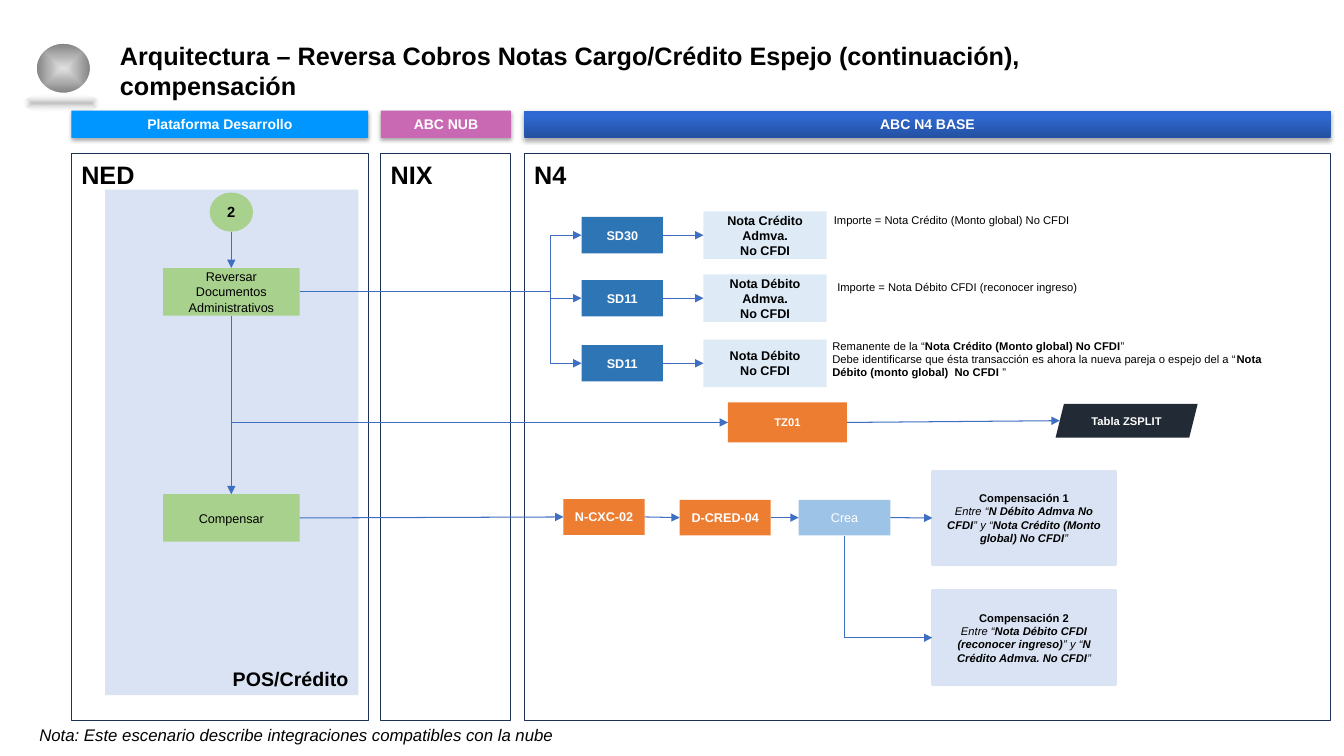
from lxml import etree
from pptx import Presentation
from pptx.dml.color import RGBColor
from pptx.enum.shapes import MSO_CONNECTOR, MSO_SHAPE
from pptx.enum.text import MSO_ANCHOR, MSO_AUTO_SIZE, PP_ALIGN
from pptx.oxml.ns import nsdecls, qn
from pptx.oxml import parse_xml
from pptx.util import Pt

RECT, OVAL, SLANTED = MSO_SHAPE.RECTANGLE, MSO_SHAPE.OVAL, MSO_SHAPE.PARALLELOGRAM
STRAIGHT, ELBOW = MSO_CONNECTOR.STRAIGHT, MSO_CONNECTOR.ELBOW
LEFT, CENTER, RIGHT = PP_ALIGN.LEFT, PP_ALIGN.CENTER, PP_ALIGN.RIGHT
TOP, MIDDLE, BOTTOM = MSO_ANCHOR.TOP, MSO_ANCHOR.MIDDLE, MSO_ANCHOR.BOTTOM

COLORS = {
    "black": "000000", "white": "FFFFFF", "navy": "1E3256", "wire": "3F6FC3",
    "sky": "0096FF", "pink": "CA69B3", "pale": "DAE3F3", "ice": "DEEBF7",
    "green": "A9D18E", "blue": "2E75B6", "light": "9DC3E6", "orange": "ED7D31",
    "dark": "222A35", "deep": "2451A1", "royal": "2F69D1", "bright": "2C69D5",
    "silver": "E0E0E0", "gray": "808080",
}

TITLE = "Arquitectura – Reversa Cobros Notas Cargo/Crédito Espejo (continuación), compensación"
FOOTNOTE = "Nota: Este escenario describe integraciones compatibles con la nube"

PANELS = [
    ("Plataforma Desarrollo", "NED", 51, 212, "sky"),
    ("ABC NUB", "NIX", 272, 93, "pink"),
    ("ABC N4 BASE", "N4", 374.5, 576, None),
]

BOXES = {
    "start": (OVAL, 149.75, 137.5, 31, 28, "green", "black", 10.5, [[("2", "b")]]),
    "reverse": (RECT, 116.5, 191.5, 97.5, 34, "green", "black", 9,
                [[("Reversar Documentos Administrativos", "")]]),
    "clear": (RECT, 116.5, 353, 97.5, 34, "green", "black", 9, [[("Compensar", "")]]),
    "TZ01": (RECT, 520, 287.5, 85, 28.5, "orange", "white", 8, [[("TZ01", "b")]]),
    "split": (SLANTED, 754, 288.5, 101.5, 24, "dark", "white", 8, [[("Tabla ZSPLIT", "b")]]),
    "CXC": (RECT, 402.5, 356.5, 58, 25.5, "orange", "white", 9, [[("N-CXC-02", "b")]]),
    "CRED": (RECT, 485.5, 357, 65, 25.5, "orange", "white", 9, [[("D-CRED-04", "b")]]),
    "create": (RECT, 570.5, 357, 65.5, 25.5, "light", "white", 9, [[("Crea", "")]]),
    "comp1": (RECT, 666, 336.5, 131, 67, "pale", "black", 8, [
        [("Compensación 1", "b")],
        [("Entre “", "i"), ("N Débito Admva No CFDI", "bi"), ("” y “", "i"),
         ("Nota Crédito (Monto global) No CFDI", "bi"), ("”", "i")]]),
    "comp2": (RECT, 666, 422, 131, 67, "pale", "black", 8, [
        [("Compensación 2", "b")],
        [("Entre “", "i"), ("Nota Débito CFDI", "bi")],
        [("(reconocer ingreso)", "bi"), ("” y “", "i"),
         ("N Crédito Admva. No CFDI", "bi"), ("”", "i")]]),
}

DOCUMENTS = [
    (168, "SD30", "Nota Crédito Admva."),
    (213, "SD11", "Nota Débito Admva."),
    (259.5, "SD11", "Nota Débito"),
]

REMARKS = [
    (588.5, 149, 196, 17, [[("Importe = Nota Crédito (Monto global) No CFDI", "")]]),
    (591, 196.5, 191, 17, [[("Importe = Nota Débito CFDI (reconocer ingreso)", "")]]),
    (587.5, 238.5, 338, 36, [
        [("Remanente de la “", ""), ("Nota Crédito (Monto global) No CFDI", "b"), ("”", "")],
        [("Debe identificarse que ésta transacción es ahora la nueva pareja o espejo del a “", ""),
         ("Nota Débito (monto global)  No CFDI ", "b"), ("”", "")]]),
]

LINKS = [
    ("start", "reverse", "down"), ("reverse", "clear", "down"),
    ("reverse", "TZ01", "down-right"), ("TZ01", "split", "right"),
    ("clear", "CXC", "right"), ("CXC", "CRED", "right"), ("CRED", "create", "right"),
    ("create", "comp1", "right"), ("create", "comp2", "down-right"),
]
for row, (mid, code, note) in enumerate(DOCUMENTS):
    BOXES[f"code{row}"] = (RECT, 415.5, mid - 13, 58, 26, "blue", "white", 9, [[(code, "b")]])
    BOXES[f"note{row}"] = (RECT, 502.5, mid - 17, 88, 34, "ice", "black", 9,
                           [[(note, "b")], [("No CFDI", "b")]])
    LINKS += [("reverse", f"code{row}", "branch"), (f"code{row}", f"note{row}", "right")]


def rgb(name):
    return RGBColor.from_string(COLORS[name])


def write(sp, paragraphs, size, color="black", align=LEFT, anchor=TOP):
    tf = sp.text_frame
    tf.word_wrap = True
    tf.auto_size = MSO_AUTO_SIZE.NONE
    tf.vertical_anchor = anchor
    tf.margin_left = tf.margin_right = Pt(7.2)
    tf.margin_top = tf.margin_bottom = Pt(3.6)
    for i, runs in enumerate(paragraphs):
        p = tf.add_paragraph() if i else tf.paragraphs[0]
        p.alignment = align
        for text, style in runs:
            r = p.add_run()
            r.text = text
            r.font.name, r.font.size = "Arial", Pt(size)
            r.font.bold, r.font.italic = "b" in style, "i" in style
            r.font.color.rgb = rgb(color)


def add_box(kind, x, y, w, h, fill=None, line=None, width=0.75):
    sp = s.shapes.add_shape(kind, Pt(x), Pt(y), Pt(w), Pt(h))
    sp.shadow.inherit = False
    if fill:
        sp.fill.solid()
        sp.fill.fore_color.rgb = rgb(fill)
    else:
        sp.fill.background()
    if line:
        sp.line.color.rgb = rgb(line)
        sp.line.width = Pt(width)
    else:
        sp.line.fill.background()
    return sp


def add_gradient(sp, stops, direction):
    gs = "".join(
        f'<a:gs pos="{pos * 1000}"><a:srgbClr val="{COLORS[color]}">'
        f'<a:alpha val="{alpha * 1000}"/></a:srgbClr></a:gs>' for pos, color, alpha in stops)
    spPr = sp.element.spPr
    spPr.replace(spPr.find(qn("a:noFill")), parse_xml(
        f'<a:gradFill {nsdecls("a")} rotWithShape="1"><a:gsLst>{gs}</a:gsLst>{direction}</a:gradFill>'))


def add_shadow(sp):
    sp.element.spPr.find(qn("a:effectLst")).append(parse_xml(
        f'<a:outerShdw {nsdecls("a")} blurRad="{Pt(3.1)}" dist="{Pt(1.8)}" dir="5400000" '
        'rotWithShape="0"><a:srgbClr val="000000"><a:alpha val="35000"/></a:srgbClr></a:outerShdw>'))


def add_link(source, target, route):
    _, x, y, w, h = BOXES[source][:5]
    kind, tx, ty, tw, th = BOXES[target][:5]
    x1, y1 = (x + w / 2, y + h) if route.startswith("down") else (x + w, y + h / 2)
    x2, y2 = (tx + tw / 2, ty) if route == "down" else (tx, ty + th / 2)
    if kind == SLANTED:
        x2 += th / 8
    if route == "down-right":
        cx, cy, dx, dy = (x1 + x2) / 2, (y1 + y2) / 2, x2 - x1, y2 - y1
        x1, y1, x2, y2 = cx + dy / 2, cy - dx / 2, cx - dy / 2, cy + dx / 2
    c = s.shapes.add_connector(STRAIGHT if route in ("down", "right") else ELBOW,
                               Pt(x1), Pt(y1), Pt(x2), Pt(y2))
    c.line.color.rgb = rgb("wire")
    c.line.width = Pt(0.75)
    spPr = c.element.spPr
    etree.SubElement(spPr.find(qn("a:ln")), qn("a:tailEnd"), type="triangle")
    etree.SubElement(spPr, qn("a:effectLst"))
    geom = spPr.find(qn("a:prstGeom"))
    if route == "down-right":
        geom.set("prst", "bentConnector2")
        spPr.find(qn("a:xfrm")).set("rot", "16200000")
    elif route == "branch":
        etree.SubElement(geom.find(qn("a:avLst")), qn("a:gd"), name="adj1", fmla="val 89000")


prs = Presentation()
prs.slide_width, prs.slide_height = Pt(960), Pt(540)
s = prs.slides.add_slide(prs.slide_layouts[5])

title = s.shapes.title
title.left, title.top, title.width, title.height = Pt(78.5), Pt(25), Pt(788), Pt(50)
write(title, [[(TITLE, "b")]], 18)

pos = add_box(RECT, 75, 135.5, 181, 361, "pale")
write(pos, [[("POS/Crédito", "b")]], 14, align=RIGHT, anchor=BOTTOM)

CENTERED = '<a:path path="rect"><a:fillToRect l="50000" t="50000" r="50000" b="50000"/></a:path>'
sphere = add_box(OVAL, 25.5, 30.5, 39.5, 36.5, line="white", width=1.5)
add_gradient(sphere, [(0, "silver", 100), (100, "gray", 100)], CENTERED)
sphere_shade = add_box(OVAL, 16, 67, 55.5, 13.5)
add_gradient(sphere_shade, [(0, "gray", 50), (100, "white", 0)], CENTERED)

for heading, label, x, w, color in PANELS:
    panel = add_box(RECT, x, 110, w, 404.5, line="navy")
    write(panel, [[(label, "b")]], 18)
    header = add_box(RECT, x, 79, w, 19.5, color)
    if not color:
        add_gradient(header, [(0, "deep", 100), (80, "royal", 100), (100, "bright", 100)],
                     '<a:lin ang="16200000" scaled="0"/>')
    add_shadow(header)
    write(header, [[(heading, "b")]], 10, "white", CENTER, MIDDLE)

for kind, x, y, w, h, fill, color, size, paragraphs in BOXES.values():
    write(add_box(kind, x, y, w, h, fill, fill if fill == "pale" else None, 2),
          paragraphs, size, color, CENTER, MIDDLE)

for link in LINKS:
    add_link(*link)

for x, y, w, h, paragraphs in REMARKS:
    write(s.shapes.add_textbox(Pt(x), Pt(y), Pt(w), Pt(h)), paragraphs, 8)
write(s.shapes.add_textbox(Pt(21), Pt(514), Pt(413), Pt(22)), [[(FOOTNOTE, "i")]], 12)

prs.save("out.pptx")
